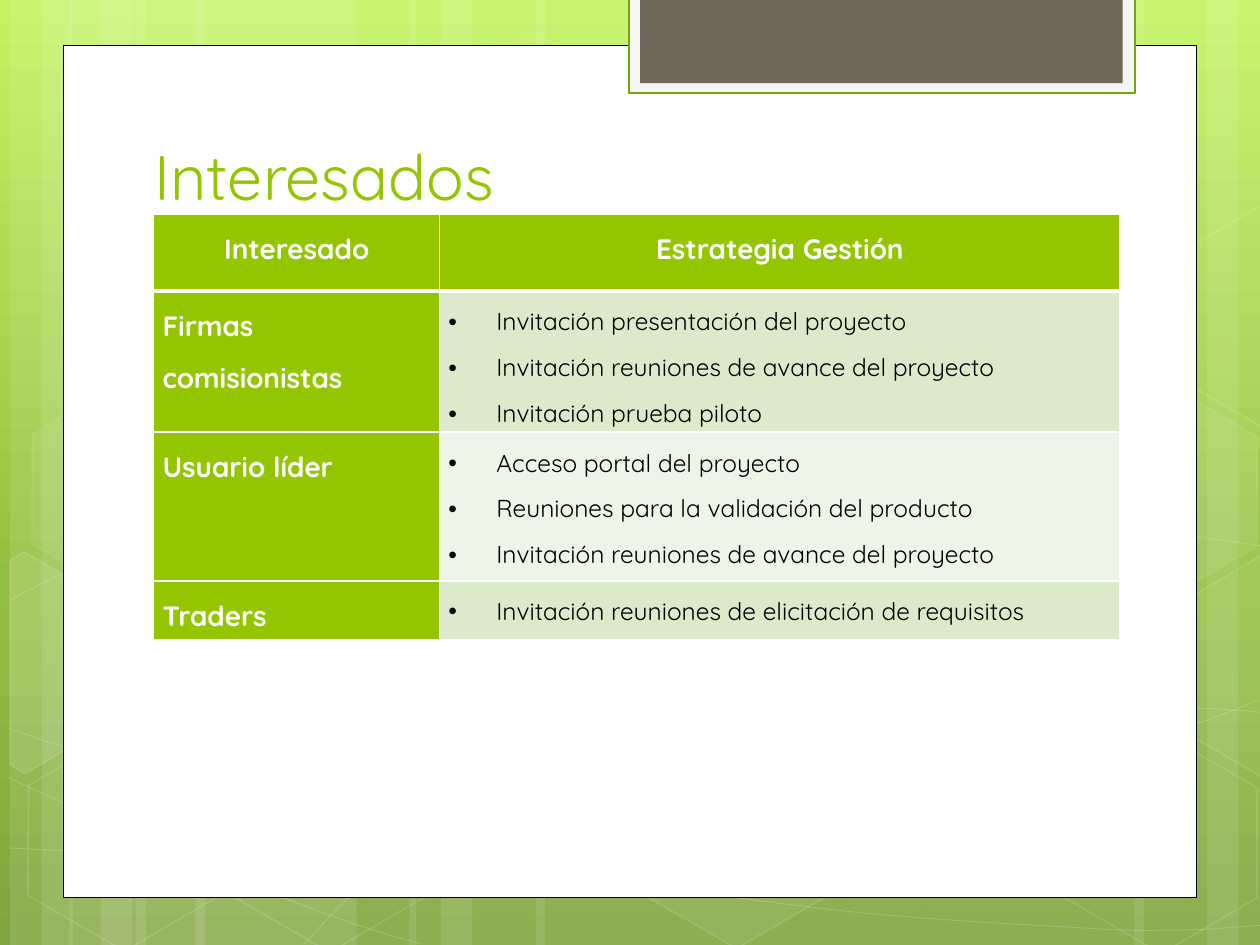
"""Builds the stakeholder slide: green striped backdrop, white panel, title and strategy table."""
import copy

import pptx
import pptx.dml.color
import pptx.enum.shapes
import pptx.enum.text
import pptx.oxml
import pptx.oxml.ns
import pptx.util

Inches = pptx.util.Inches
Pt = pptx.util.Pt
qn = pptx.oxml.ns.qn
SHAPES = pptx.enum.shapes.MSO_SHAPE
ALIGN = pptx.enum.text.PP_ALIGN
ANCHOR = pptx.enum.text.MSO_ANCHOR

FONT = "Quicksand"
COLORS = {
    "white": "FFFFFF", "black": "000000", "green": "94C600",
    "band_dark": "DCEACC", "band_light": "EEF5E7",
    "tab_frame": "F5F5F5", "tab_line": "74A510", "tab": "71685A",
    "sky": "C3F35F", "meadow": "93BF3F", "ground": "81A53E",
}
BACKDROP = [(0, "sky"), (0.62, "meadow"), (1, "ground")]

TITLE = "Interesados"
HEADINGS = ["Interesado", "Estrategia Gestión"]
STRATEGIES = [
    ("Firmas comisionistas", ["Invitación presentación del proyecto",
                              "Invitación reuniones de avance del proyecto",
                              "Invitación prueba piloto"]),
    ("Usuario líder", ["Acceso portal del proyecto",
                       "Reuniones para la validación del producto",
                       "Invitación reuniones de avance del proyecto"]),
    ("Traders", ["Invitación reuniones de elicitación de requisitos"]),
]
COLUMN_WIDTHS = [2.27, 5.4]
ROW_HEIGHTS = [0.61, 1.12, 1.18, 0.47]

STRIPES = [(1.08, 1.75), (0.08, 0.5), (0.33, 0.83), (1.55, 1.75), (0.55, 0.5), (0.8, 0.83),
           (7.33, 1.75), (9.58, 0.5), (9, 0.83), (4.25, 3.08), (3.25, 0.5), (3.5, 0.83)]
CURVES = [
    [(0.07, 6.73), (0.61, 6.76), (1.15, 6.79), (1.9, 6.78), (2.65, 6.77), (3.58, 6.75),
     (4.58, 6.65), (5.58, 6.55), (7, 6.36), (7.92, 6.17), (8.83, 5.98), (9.77, 5.68), (10.07, 5.51)],
    [(0.07, 4.77), (0.36, 4.61), (0.65, 4.46), (1.21, 4.31), (1.78, 4.16), (2.59, 3.94),
     (3.47, 3.87), (4.36, 3.8), (5.44, 3.79), (6.54, 3.87), (7.64, 3.95), (9.47, 4.26), (10.07, 4.34)],
    [(0.06, 6.17), (1.27, 6.72), (2.47, 7.27), (3.34, 7.49)],
    [(0.07, 5.78), (0.38, 5.89), (0.7, 6), (1.28, 6.16), (1.86, 6.31), (2.73, 6.56), (3.57, 6.73),
     (4.4, 6.9), (5.45, 7.08), (6.28, 7.18), (7.11, 7.29), (8, 7.33), (8.53, 7.36),
     (9.05, 7.4), (9.19, 7.38), (9.45, 7.38), (9.71, 7.37), (9.89, 7.35), (10.07, 7.34)],
    [(2.42, 7.49), (2.6, 7.29), (2.78, 7.09), (3.02, 6.91), (3.26, 6.73), (3.6, 6.53), (3.88, 6.39),
     (4.16, 6.25), (4.33, 6.19), (4.7, 6.09), (5.06, 5.99), (5.73, 5.85), (6.08, 5.78),
     (6.44, 5.71), (6.49, 5.71), (6.8, 5.69), (7.11, 5.66), (7.6, 5.63), (7.94, 5.62),
     (8.29, 5.61), (8.86, 5.62), (8.86, 5.62), (9.08, 5.62), (9.31, 5.62), (9.53, 5.62),
     (9.71, 5.63), (9.88, 5.64), (9.97, 5.65), (10.06, 5.66), (10.03, 5.65), (10.06, 5.66)],
]
HEXAGONS = [(3.34, 0.36, 4, 8), (4.97, 5.89, 6, 12), (0.11, 5.91, None, 12), (0.14, 3.12, 7, 8),
            (1.74, 5.92, None, 12), (8.34, 5.93, None, 12), (8.34, 3.14, 7, 8)]
CUT_HEXAGONS = [
    ([(0.08, 4.45), (0.19, 4.38), (0.96, 4.82), (0.95, 5.7), (0.2, 6.14), (0.08, 6.07)], 10),
    ([(9.26, 4.85), (10.01, 4.41), (10.09, 4.46), (10.09, 6.13), (10.02, 6.17), (9.26, 5.73)], 4),
    ([(9.26, 2.07), (10.01, 1.63), (10.1, 1.68), (10.09, 3.35), (10.02, 3.39), (9.26, 2.95)], None),
]
PANELS = [((0.5, 0.36, 9, 6.76), "white", ("black", 0.5)),
          ((4.99, -0.02, 4.02, 0.76), "tab_frame", ("tab_line", 1.25)),
          ((5.08, -0.02, 3.83, 0.68), "tab", None)]


def rgb(name):
    return pptx.dml.color.RGBColor.from_string(COLORS[name])


def fade(parent, percent):
    if percent < 100:
        color = parent.find(qn("a:solidFill"))[0]
        color.append(color.makeelement(qn("a:alpha"), {"val": str(percent * 1000)}))


def style(shape, fill=None, fill_alpha=100, line=None, line_alpha=100):
    shape.shadow.inherit = False
    properties = shape._element.spPr
    if fill and fill_alpha:
        shape.fill.solid()
        shape.fill.fore_color.rgb = rgb(fill)
        fade(properties, fill_alpha)
    else:
        shape.fill.background()
    if line:
        shape.line.color.rgb = rgb(line[0])
        shape.line.width = Pt(line[1])
        fade(properties.find(qn("a:ln")), line_alpha)
    else:
        shape.line.fill.background()


def add_preset(slide, preset, box):
    return slide.shapes.add_shape(preset, *map(Inches, box))


def add_outline(slide, points, close):
    corners = [tuple(map(Inches, point)) for point in points]
    builder = slide.shapes.build_freeform(*corners[0])
    builder.add_line_segments(corners[1:], close=close)
    return builder.convert_to_shape()


def add_curve(slide, controls):
    curve = add_outline(slide, controls, False)
    segments = list(curve._element.iter(qn("a:lnTo")))
    for start in range(0, len(segments), 3):
        bezier = segments[start].makeelement(qn("a:cubicBezTo"), {})
        segments[start].addprevious(bezier)
        for segment in segments[start:start + 3]:
            bezier.append(segment[0])
            segment.getparent().remove(segment)
    return curve


def write(paragraph, text, size, color, bold=False):
    run = paragraph.add_run()
    run.text = text
    for name, value in {"name": FONT, "size": Pt(size), "bold": bold}.items():
        setattr(run.font, name, value)
    run.font.color.rgb = rgb(color)


def add_bullet(paragraph):
    properties = paragraph._p.get_or_add_pPr()
    properties.set("marL", str(Inches(0.38)))
    properties.set("indent", str(-Inches(0.38)))
    properties.append(properties.makeelement(qn("a:buFont"), {"typeface": "Arial"}))
    properties.append(properties.makeelement(qn("a:buChar"), {"char": "•"}))


def fill_cell(cell, lines, fill, size=16, color="white", bold=True, align=ALIGN.LEFT, bullets=False):
    margins = {"margin_left": Inches(0.07), "margin_right": Inches(0.07),
               "margin_top": 0, "margin_bottom": 0, "vertical_anchor": ANCHOR.TOP}
    for name, value in margins.items():
        setattr(cell, name, value)
    for index, text in enumerate(lines):
        paragraph = cell.text_frame.paragraphs[0] if index == 0 else cell.text_frame.add_paragraph()
        paragraph.alignment = align
        paragraph.line_spacing = 1.5
        if bullets:
            add_bullet(paragraph)
        write(paragraph, text, size, color, bold)
    cell.fill.solid()
    cell.fill.fore_color.rgb = rgb(fill)


def add_borders(cell):
    properties = cell._tc.get_or_add_tcPr()
    for index, (side, width) in enumerate([("L", 1), ("R", 1), ("T", 1), ("B", 3)]):
        border = properties.makeelement(qn(f"a:ln{side}"), {"w": str(Pt(width))})
        border.append(copy.deepcopy(properties.find(qn("a:solidFill"))))
        border[0][0].set("val", COLORS["white"])
        properties.insert(index, border)


def add_backdrop(slide):
    fill = slide.background.fill
    fill.gradient()
    fill.gradient_angle = 270
    stops = slide.background._cSld.find(".//" + qn("a:gsLst"))
    stops.append(copy.deepcopy(stops[0]))
    for stop, (position, color) in zip(fill.gradient_stops, BACKDROP):
        stop.position = position
        stop.color.rgb = rgb(color)
    for left, width in STRIPES:
        style(add_preset(slide, SHAPES.RECTANGLE, (left, 0, width, 7.5)), "white", 10)
    for controls in CURVES:
        style(add_curve(slide, controls), line=("white", 0.5), line_alpha=20)
    for left, top, fill_alpha, line_alpha in HEXAGONS:
        hexagon = add_preset(slide, SHAPES.HEXAGON, (left, top, 1.75, 1.52))
        hexagon.rotation = 30
        hexagon.adjustments[0] = 0.285
        style(hexagon, "white", fill_alpha, ("white", 1), line_alpha)
    for points, fill_alpha in CUT_HEXAGONS:
        style(add_outline(slide, points, True), "white", fill_alpha, ("white", 1), 12)
    for box, fill_color, line in PANELS:
        style(add_preset(slide, SHAPES.RECTANGLE, box), fill_color, line=line)


def add_strategies(slide):
    box = (1.22, 1.7, sum(COLUMN_WIDTHS), sum(ROW_HEIGHTS))
    table = slide.shapes.add_table(len(ROW_HEIGHTS), len(COLUMN_WIDTHS), *map(Inches, box)).table
    table.first_col = True
    for column, width in zip(table.columns, COLUMN_WIDTHS):
        column.width = Inches(width)
    for row, height in zip(table.rows, ROW_HEIGHTS):
        row.height = Inches(height)
    for column, heading in enumerate(HEADINGS):
        fill_cell(table.cell(0, column), [heading], "green", align=ALIGN.CENTER)
        add_borders(table.cell(0, column))
    for row, (stakeholder, actions) in enumerate(STRATEGIES, 1):
        fill_cell(table.cell(row, 0), [stakeholder], "green")
        fill_cell(table.cell(row, 1), actions, "band_dark" if row % 2 else "band_light",
                  size=14, color="black", bold=False, bullets=True)


def main():
    deck = pptx.Presentation()
    deck.slide_width, deck.slide_height = Inches(10), Inches(7.5)
    slide = deck.slides.add_slide(deck.slide_layouts[6])
    add_backdrop(slide)
    title = slide.shapes.add_textbox(*map(Inches, (1.13, 0.99, 7.68, 0.75))).text_frame
    title.word_wrap = True
    title.vertical_anchor = ANCHOR.BOTTOM
    write(title.paragraphs[0], TITLE, 36, "green")
    add_strategies(slide)
    deck.save("out.pptx")


if __name__ == "__main__":
    main()
